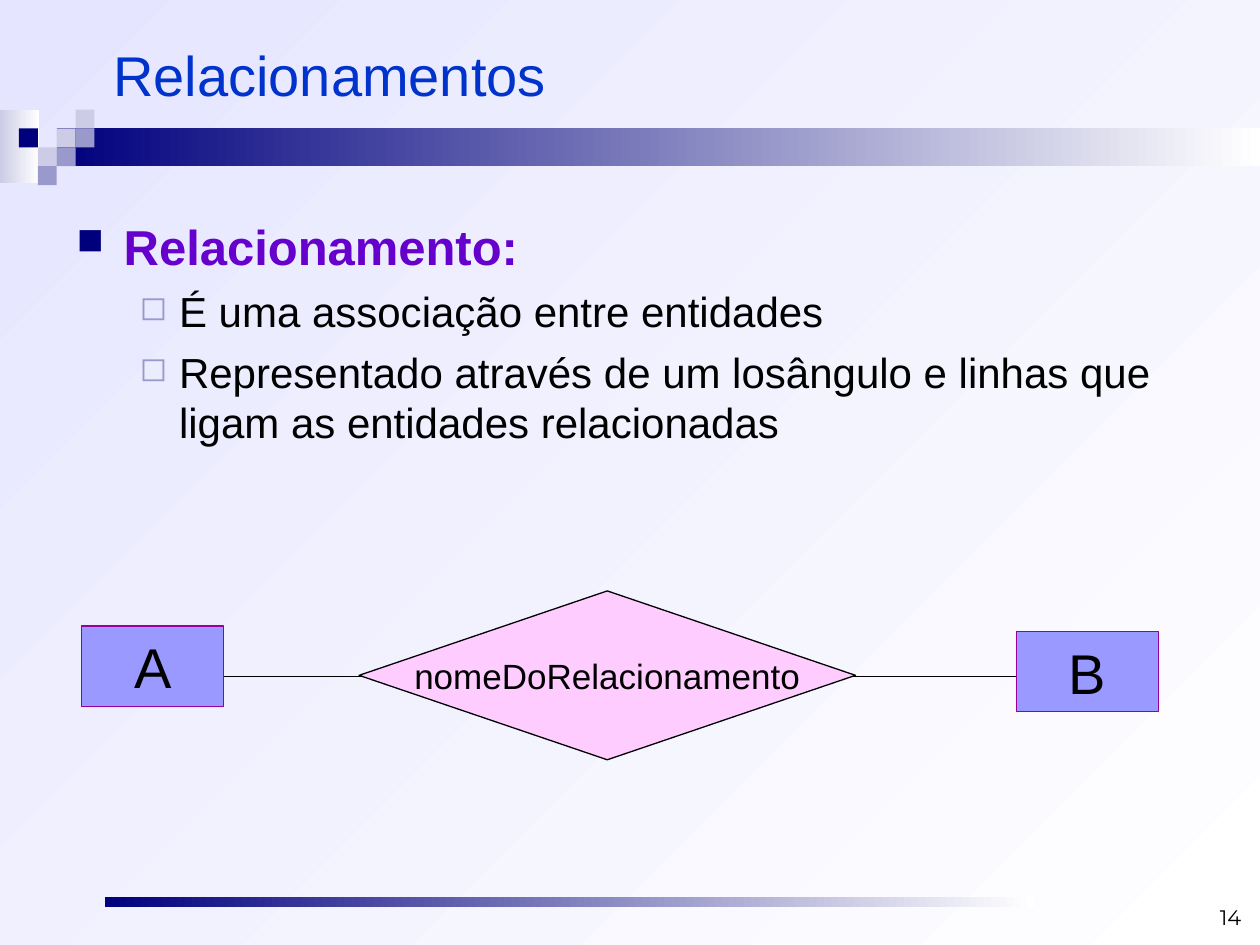
"""Build the slide that introduces relationships between entities."""
from lxml import etree
from pptx import Presentation
from pptx.dml.color import RGBColor
from pptx.enum.shapes import MSO_CONNECTOR, MSO_SHAPE
from pptx.enum.text import MSO_ANCHOR, PP_ALIGN
from pptx.oxml.ns import qn
from pptx.util import Pt

RECTANGLE, DIAMOND = MSO_SHAPE.RECTANGLE, MSO_SHAPE.DIAMOND
STRAIGHT = MSO_CONNECTOR.STRAIGHT
TOP, MIDDLE, BOTTOM = MSO_ANCHOR.TOP, MSO_ANCHOR.MIDDLE, MSO_ANCHOR.BOTTOM
LEFT, CENTER, RIGHT = PP_ALIGN.LEFT, PP_ALIGN.CENTER, PP_ALIGN.RIGHT

WHITE = RGBColor(0xFF, 0xFF, 0xFF)
BLACK = RGBColor(0x00, 0x00, 0x00)
LAVENDER = RGBColor(0xE5, 0xE5, 0xFF)
PALE = RGBColor(0xCC, 0xCC, 0xE6)
MEDIUM = RGBColor(0x99, 0x99, 0xCC)
NAVY = RGBColor(0x00, 0x00, 0x7D)
BLUE = RGBColor(0x00, 0x33, 0xCC)
VIOLET = RGBColor(0x66, 0x00, 0xCC)
PINK = RGBColor(0xFF, 0xCC, 0xFF)
PERIWINKLE = RGBColor(0x99, 0x99, 0xFF)
PURPLE = RGBColor(0x99, 0x00, 0x99)


def set_gradient(fill, end_color, angle):
    fill.gradient()
    fill.gradient_angle = angle
    for stop, color in zip(fill.gradient_stops, (WHITE, end_color)):
        stop.color.rgb = color


def add_text(paragraph, text, size, color, alignment=LEFT, font="Arial", bold=False):
    paragraph.alignment = alignment
    run = paragraph.add_run()
    run.text = text
    run.font.name = font
    run.font.size = Pt(size)
    run.font.bold = bold
    run.font.color.rgb = color


presentation = Presentation()
presentation.slide_width, presentation.slide_height = Pt(720), Pt(540)
slide = presentation.slides.add_slide(presentation.slide_layouts[6])
shapes = slide.shapes
set_gradient(slide.background.fill, LAVENDER, 135)

CELL = 10.8
BAND_TOP = 62.6
gradient_bars = [
    (0, BAND_TOP, 22.3, 41.8, PALE),
    (32.4, BAND_TOP + CELL, 687.6, 2 * CELL, NAVY),
    (59.8, 512.6, 531.4, 5.8, NAVY),
]
for left, top, width, height, color in gradient_bars:
    bar = shapes.add_shape(RECTANGLE, Pt(left), Pt(top), Pt(width), Pt(height))
    bar.shadow.inherit = False
    bar.line.fill.background()
    set_gradient(bar.fill, color, 180)

squares = [
    (3, 1, PALE), (4, 0, PALE), (4, 1, MEDIUM), (2, 2, PALE),
    (1, 1, NAVY), (3, 2, MEDIUM), (2, 3, MEDIUM),
]
for column, row, color in squares:
    square = shapes.add_shape(
        RECTANGLE, Pt(column * CELL), Pt(BAND_TOP + row * CELL), Pt(CELL), Pt(CELL)
    )
    square.shadow.inherit = False
    square.line.fill.background()
    square.fill.solid()
    square.fill.fore_color.rgb = color

frames = []
for left, top, width, height, anchor in [
    (57.6, 15.8, 648.7, 52.6, MIDDLE),
    (36.7, 120, 648.7, 360, TOP),
    (548.6, 499, 167.8, 36, BOTTOM),
]:
    frame = shapes.add_textbox(Pt(left), Pt(top), Pt(width), Pt(height)).text_frame
    frame.word_wrap = True
    frame.vertical_anchor = anchor
    frames.append(frame)
title, body, number = frames
add_text(title.paragraphs[0], "Relacionamentos", 32, BLUE)
add_text(number.paragraphs[0], "14", 12, BLACK, RIGHT, "Montserrat")

heading_style = (28, VIOLET, True, 0, 26.9, 26.9, "■", NAVY, 75)
item_style = (24, BLACK, False, 6, 58.5, 22.5, "◻", MEDIUM, 80)
items = [
    ("Relacionamento:", 0, heading_style),
    ("É uma associação entre entidades", 1, item_style),
    ("Representado através de um losângulo e linhas que ligam as entidades relacionadas",
     1, item_style),
]
for index, (text, level, style) in enumerate(items):
    size, color, bold, space, margin, hanging, bullet, bullet_color, bullet_size = style
    paragraph = body.add_paragraph() if index else body.paragraphs[0]
    paragraph.level = level
    if space:
        paragraph.space_before = Pt(space)
    properties = paragraph._p.get_or_add_pPr()
    properties.set("marL", str(Pt(margin)))
    properties.set("indent", str(-Pt(hanging)))
    color_element = etree.SubElement(properties, qn("a:buClr"))
    etree.SubElement(color_element, qn("a:srgbClr"), val=str(bullet_color))
    etree.SubElement(properties, qn("a:buSzPct"), val=str(bullet_size * 1000))
    etree.SubElement(properties, qn("a:buChar"), char=bullet)
    add_text(paragraph, text, size, color, bold=bold)

diagram = [
    (DIAMOND, 205.2, 337.7, 283.7, 96.5, PINK, BLACK, "nomeDoRelacionamento", 20),
    (RECTANGLE, 46.8, 357.8, 81, 46, PERIWINKLE, PURPLE, "A", 32),
    (RECTANGLE, 581, 360.8, 81, 46, PERIWINKLE, PURPLE, "B", 32),
]
for start, end in [(93.6, 206.6), (484.6, 598.3)]:
    connector = shapes.add_connector(STRAIGHT, Pt(start), Pt(386.6), Pt(end), Pt(386.6))
    connector.line.color.rgb = BLACK
    connector.line.width = Pt(0.75)
    etree.SubElement(connector._element.spPr, qn("a:effectLst"))
for kind, left, top, width, height, fill_color, line_color, text, size in diagram:
    shape = shapes.add_shape(kind, Pt(left), Pt(top), Pt(width), Pt(height))
    shape.shadow.inherit = False
    shape.fill.solid()
    shape.fill.fore_color.rgb = fill_color
    shape.line.color.rgb = line_color
    shape.line.width = Pt(0.75)
    shape.text_frame.word_wrap = kind == RECTANGLE
    shape.text_frame.vertical_anchor = MIDDLE
    add_text(shape.text_frame.paragraphs[0], text, size, BLACK, CENTER)

presentation.save("out.pptx")
